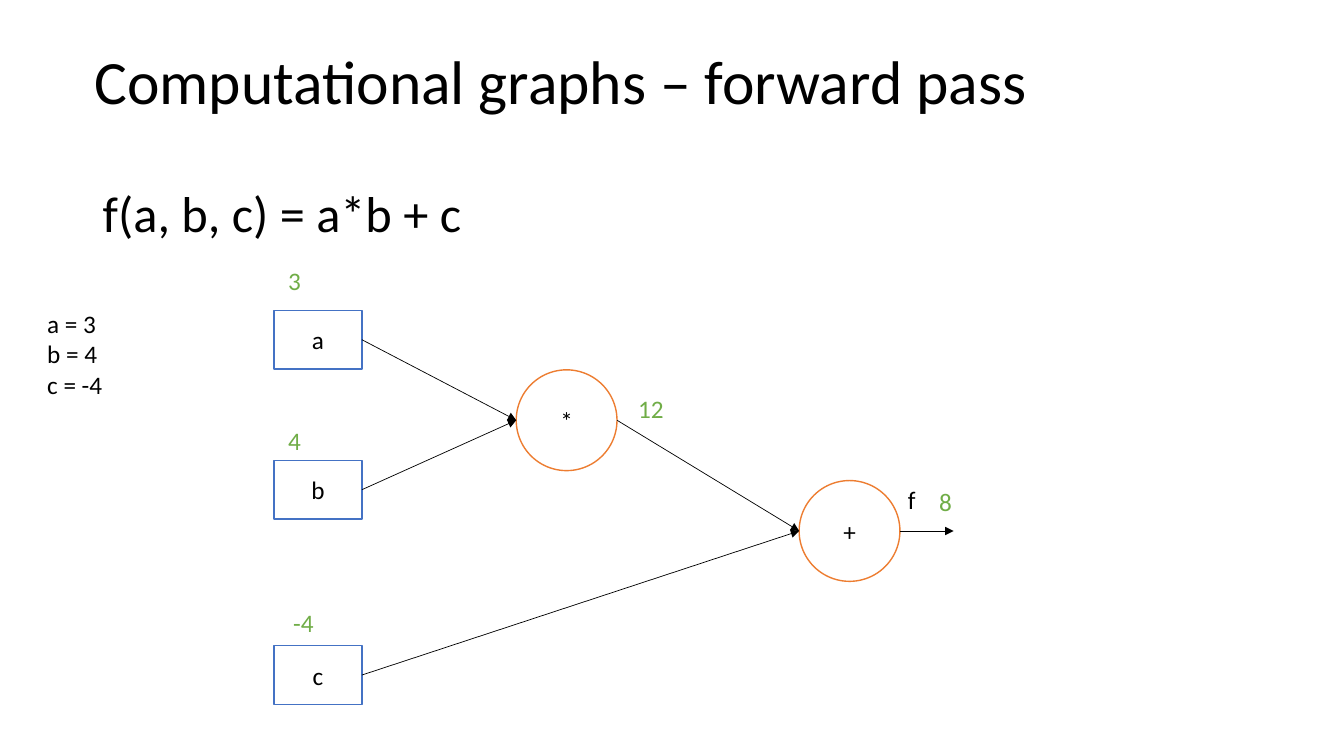
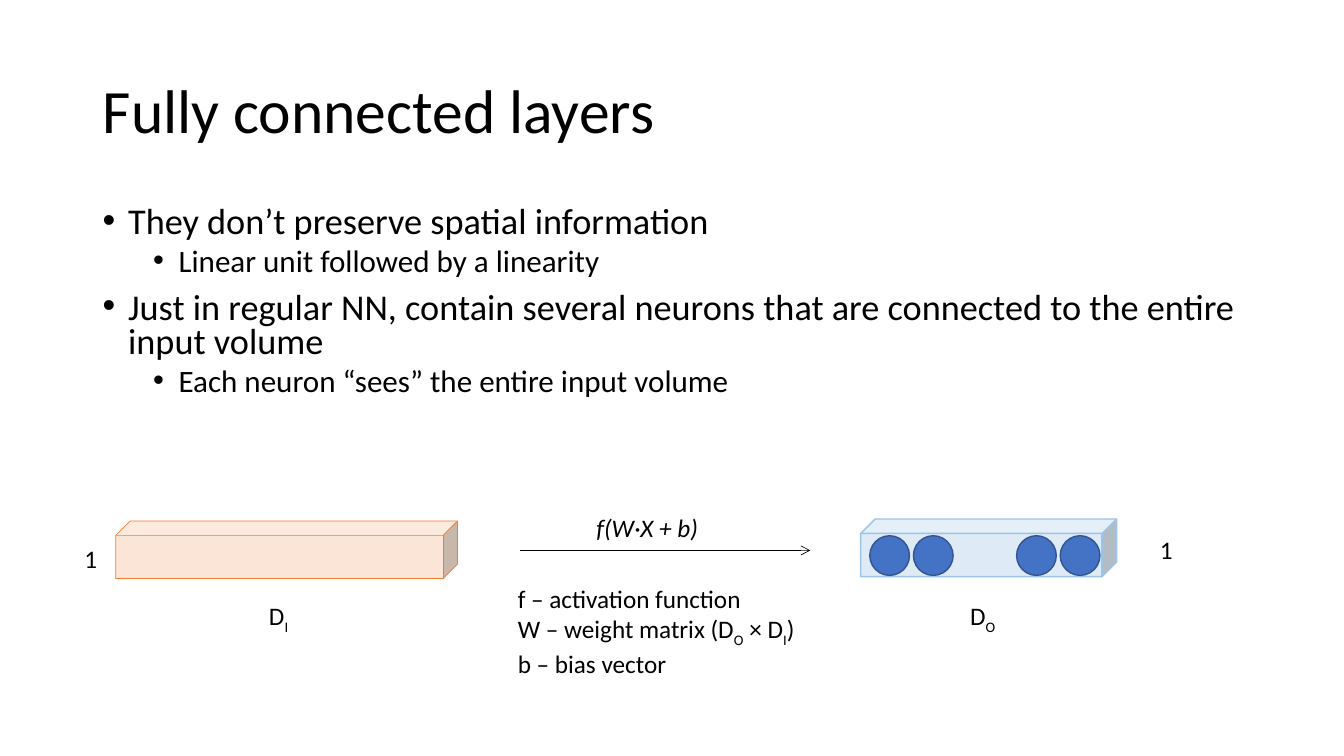
from lxml.etree import SubElement
from pptx import Presentation
from pptx.dml.color import RGBColor
from pptx.enum.shapes import MSO_CONNECTOR, MSO_SHAPE
from pptx.enum.text import MSO_ANCHOR, PP_ALIGN
from pptx.oxml.ns import qn
from pptx.util import Cm, Pt

FONT = "Calibri"
BLACK, WHITE, GREEN = "000000", "FFFFFF", "70AD47"
BLUE, DARK_BLUE, ORANGE = "4472C4", "325491", "ED7D31"
PALE_BLUE, SKY_BLUE, PALE_ORANGE = "DEEBF7", "9DC3E6", "FBE5D6"
BOTTOM, RIGHT = 2, 3
LABEL_HEIGHT = 1.03


def color(value):
    return RGBColor.from_string(value)


def add_run(paragraph, text, size=18, ink=BLACK, italic=False, subscript=False):
    run = paragraph.add_run()
    run.text = text
    font = run.font
    font.name, font.size = FONT, Pt(size)
    font.color.rgb = color(ink)
    if italic:
        font.italic = True
    if subscript:
        run._r.get_or_add_rPr().set("baseline", "-25000")


def add_text(slide, box, lines, **style):
    """Each line is a string, or a list of strings in which every second one is a subscript."""
    shape = slide.shapes.add_textbox(*map(Cm, box))
    frame = shape.text_frame
    frame.word_wrap = True
    for index, line in enumerate(lines):
        paragraph = frame.paragraphs[0] if index == 0 else frame.add_paragraph()
        parts = [line] if isinstance(line, str) else line
        for position, part in enumerate(parts):
            add_run(paragraph, part, subscript=position % 2 == 1, **style)
    return shape


def add_title(slide, left, top, text):
    shape = add_text(slide, (left, top, 29.21, 3.68), [text], size=44)
    shape.text_frame.vertical_anchor = MSO_ANCHOR.MIDDLE
    shape.text_frame.paragraphs[0].line_spacing = 0.9


def add_figure(slide, kind, box, fill, outline, width=1, text=""):
    shape = slide.shapes.add_shape(kind, *map(Cm, box))
    shape.shadow.inherit = False
    shape.fill.solid()
    shape.fill.fore_color.rgb = color(fill)
    shape.line.color.rgb = color(outline)
    shape.line.width = Pt(width)
    if text:
        shape.text_frame.vertical_anchor = MSO_ANCHOR.MIDDLE
        paragraph = shape.text_frame.paragraphs[0]
        paragraph.alignment = PP_ALIGN.CENTER
        add_run(paragraph, text)
    return shape


def add_arrow(slide, start, end, head="triangle"):
    """Start and end are points given as lengths."""
    connector = slide.shapes.add_connector(MSO_CONNECTOR.STRAIGHT, *start, *end)
    connector.line.color.rgb = color(BLACK)
    connector.line.width = Pt(0.5)
    SubElement(connector.line._get_or_add_ln(), qn("a:tailEnd"), type=head)
    SubElement(connector._element.spPr, qn("a:effectLst"))
    return connector


def left_middle(shape):
    return shape.left, shape.top + shape.height // 2


def right_middle(shape):
    return shape.left + shape.width, shape.top + shape.height // 2


def add_computational_graph(slide, left, top):
    def add_value(x, y, text, ink=GREEN):
        add_text(slide, (left + x, top + y, 1.3, LABEL_HEIGHT), [text], ink=ink)

    def add_operation(x, y, symbol):
        return add_figure(slide, MSO_SHAPE.OVAL, (left + x, top + y, 2.54, 2.54),
                          WHITE, ORANGE, text=symbol)

    multiply = add_operation(6.1, 2.77, "*")
    add = add_operation(13.23, 5.56, "+")
    inputs = [("a", 1.27, multiply, "3", 0.1, 0),
              ("b", 5.05, multiply, "4", 0.1, 4.04),
              ("c", 9.72, add, "-4", 0.23, 8.64)]
    for name, y, operation, value, value_x, value_y in inputs:
        node = add_figure(slide, MSO_SHAPE.RECTANGLE, (left, top + y, 2.21, 1.48),
                          WHITE, BLUE, text=name)
        edge = add_arrow(slide, right_middle(node), left_middle(operation))
        edge.begin_connect(node, RIGHT)
        add_value(value_x, value_y, value)

    add_arrow(slide, right_middle(multiply), left_middle(add))
    output_x, output_y = right_middle(add)
    add_arrow(slide, (output_x, output_y), (output_x + Cm(1.35), output_y))
    add_value(8.92, 3.23, "12")
    add_value(15.72, 5.54, "f", BLACK)
    add_value(16.51, 5.59, "8")


def add_bullets(slide, box, items):
    shape = slide.shapes.add_textbox(*map(Cm, box))
    frame = shape.text_frame
    frame.word_wrap = True
    for index, (level, text) in enumerate(items):
        paragraph = frame.paragraphs[0] if index == 0 else frame.add_paragraph()
        paragraph.level = level
        properties = paragraph._p.get_or_add_pPr()
        properties.set("marL", str(Cm(0.64 + 1.27 * level)))
        properties.set("indent", str(-Cm(0.64)))
        SubElement(properties, qn("a:buFont"), typeface="Arial")
        SubElement(properties, qn("a:buChar"), char="•")
        paragraph.line_spacing = 0.8
        if index:
            paragraph.space_before = Pt(5 if level else 10)
        add_run(paragraph, text, size=22.2 if level else 25.9)


def add_layer(slide, box, fill, outline, width, letter, letter_x, depth_at):
    """A bar with its length named below and its depth, 1, beside it."""
    left, top = box[:2]
    add_figure(slide, MSO_SHAPE.CUBE, box, fill, outline, width)
    add_text(slide, (left + letter_x, 15.01, 1.42, LABEL_HEIGHT), [["D", letter]])
    depth_x, depth_y = depth_at
    add_text(slide, (left + depth_x, top + depth_y, 0.9, LABEL_HEIGHT), ["1"])


def add_neurons(slide, left, top):
    for pair_x in (0, 3.7):
        for offset in (0, 1.1):
            add_figure(slide, MSO_SHAPE.OVAL, (left + pair_x + offset, top, 1, 1),
                       BLUE, DARK_BLUE)


def add_mapping(slide, left, top):
    """The arrow between the layers, its formula and the legend of symbols."""
    arrow_y = Cm(top + 1.09)
    add_arrow(slide, (Cm(left + 0.31), arrow_y), (Cm(left + 7.62), arrow_y), "arrow")
    add_text(slide, (left + 1.98, top, 4, LABEL_HEIGHT), ["f(W·X + b)"], italic=True)
    add_text(slide, (left, top + 1.8, 8.2, 2.57),
             ["f – activation function",
              ["W – weight matrix (D", "O", " × D", "I", ")"],
              "b – bias vector"])


def build_forward_pass(slide):
    add_title(slide, 2.13, 0.3, "Computational graphs – forward pass")
    add_text(slide, (2.34, 4.47, 10.5, 1.8), ["f(a, b, c) = a*b + c"], size=36)
    add_text(slide, (0.94, 7.65, 2.4, 2.57), ["a = 3", "b = 4", "c = -4"])
    add_computational_graph(slide, 6.91, 6.55)


def build_fully_connected(slide):
    add_title(slide, 2.34, 1.02, "Fully connected layers")
    add_bullets(slide, (2.34, 5.08, 29.21, 5.16), [
        (0, "They don’t preserve spatial information"),
        (1, "Linear unit followed by a linearity"),
        (0, "Just in regular NN, contain several neurons that are connected "
            "to the entire input volume"),
        (1, "Each neuron “sees” the entire input volume"),
    ])
    add_layer(slide, (2.92, 13.13, 8.61, 1.45), PALE_ORANGE, ORANGE, 0.5,
              "I", 3.61, (-1.04, 0.43))
    add_layer(slide, (21.69, 13.08, 6.45, 1.45), PALE_BLUE, SKY_BLUE, 1,
              "O", 2.51, (7.29, 0.26))
    add_neurons(slide, 21.92, 13.5)
    add_mapping(slide, 12.8, 12.78)


def main():
    presentation = Presentation()
    presentation.slide_width, presentation.slide_height = Cm(33.87), Cm(19.05)
    blank = presentation.slide_layouts[6]
    for build in (build_forward_pass, build_fully_connected):
        build(presentation.slides.add_slide(blank))
    presentation.save("out.pptx")


if __name__ == "__main__":
    main()
